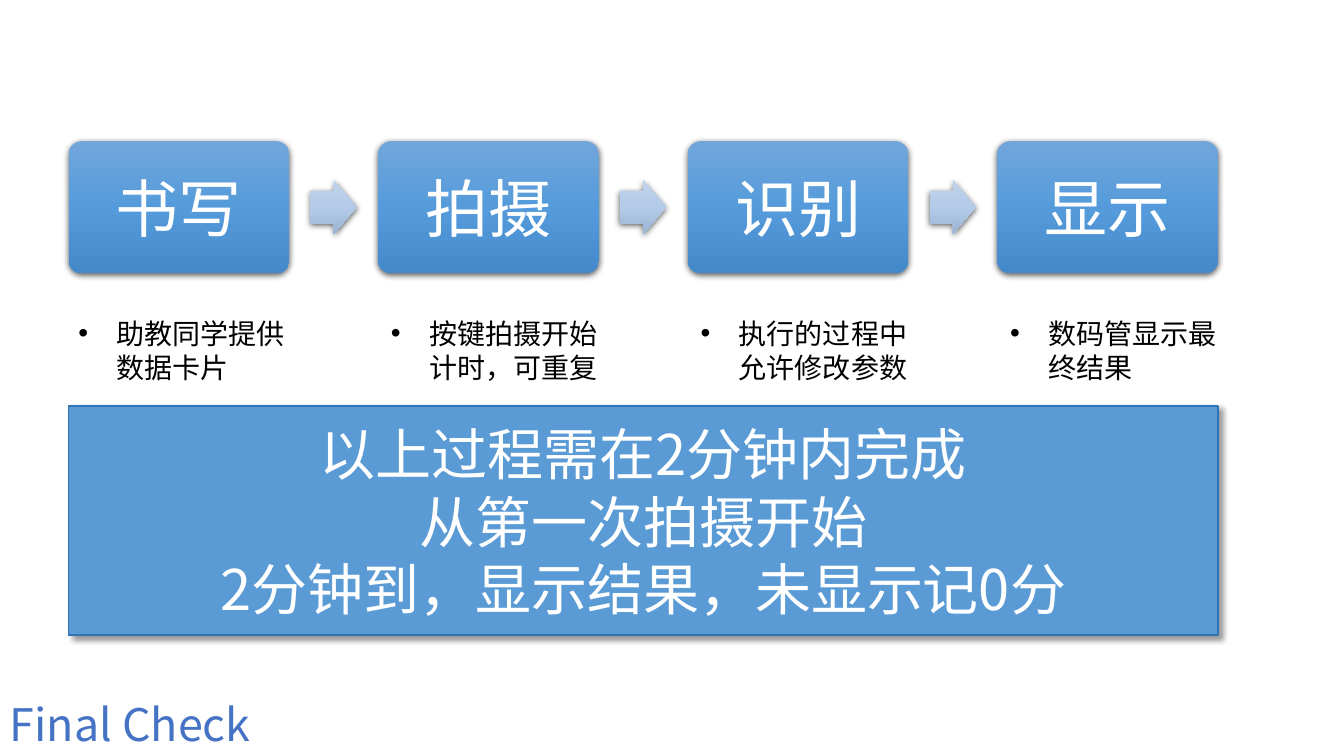
from copy import deepcopy
from lxml.etree import SubElement
from pptx import Presentation
from pptx.dml.color import RGBColor
from pptx.enum.shapes import MSO_SHAPE as Kind
from pptx.enum.text import MSO_ANCHOR as Anchor, PP_ALIGN as Align
from pptx.oxml.ns import qn
from pptx.util import Inches, Pt

FONT = "Noto Sans CJK SC"
LEFT, STEP = 0.68, 3.07
BOX_W, BOX_H, TOP = 2.19, 1.31, 1.4
ARROW_W, ARROW_H = 0.46, 0.54
STEPS = [
    ("书写", "助教同学提供数据卡片"),
    ("拍摄", "按键拍摄开始计时，可重复"),
    ("识别", "执行的过程中允许修改参数"),
    ("显示", "数码管显示最终结果"),
]
BLUES = ["71A6DB", "559BDB", "448ACA"]
PALES = ["C0D2EB", "B3CBE9", "9BB4D3"]


def write(shape, text, size, color, align=Align.LEFT):
    """Fill the shape's frame with text in one style."""
    frame = shape.text_frame
    frame.word_wrap = True
    frame.text = text
    for par in frame.paragraphs:
        par.alignment = align
        for run in par.runs:
            run.font.size = Pt(size)
            run.font.color.rgb = RGBColor.from_string(color)
            run.font.name = FONT
            SubElement(run.font._element, qn("a:ea"), typeface=FONT)


def draw(kind, x, y, w, h, colors, shade):
    """Add a shape; shade is the shadow's alpha, blur, distance and angle."""
    shape = slide.shapes.add_shape(kind, *map(Inches, (x, y, w, h)))
    fill = shape.fill
    if len(colors) == 1:
        fill.solid()
        fill.fore_color.rgb = RGBColor.from_string(colors[0])
    else:
        fill.gradient()
        fill.gradient_angle = 270
        stops = shape._element.spPr.find(".//" + qn("a:gsLst"))
        stops.append(deepcopy(stops[-1]))
        for i, (stop, color) in enumerate(zip(fill.gradient_stops, colors)):
            stop.position = i / 2
            stop.color.rgb = RGBColor.from_string(color)
    shape.line.fill.background()
    shape.shadow.inherit = False
    alpha, blur, dist, angle = shade
    glow = SubElement(
        shape._element.spPr.find(qn("a:effectLst")), qn("a:outerShdw"),
        blurRad=str(Pt(blur)), dist=str(Pt(dist)),
        dir=str(angle * 60000), algn="ctr", rotWithShape="0")
    black = SubElement(glow, qn("a:srgbClr"), val="000000")
    SubElement(black, qn("a:alpha"), val=str(alpha * 1000))
    return shape


deck = Presentation()
deck.slide_width, deck.slide_height = Inches(13.33), Inches(7.5)
slide = deck.slides.add_slide(deck.slide_layouts[6])

title = slide.shapes.add_textbox(0, Inches(6.86), Inches(4.18), Inches(0.64))
write(title, "Final Check", 32, "4472C4")

soft = (63, 4.5, 1.5, 90)
for i, (name, note) in enumerate(STEPS):
    x = LEFT + i * STEP
    box = draw(Kind.ROUNDED_RECTANGLE, x, TOP, BOX_W, BOX_H, BLUES, soft)
    box.adjustments[0] = 0.1
    box.text_frame.vertical_anchor = Anchor.MIDDLE
    write(box, name, 45, "FFFFFF", Align.CENTER)

    if i < len(STEPS) - 1:
        gap = STEP - BOX_W
        arrow = draw(Kind.RIGHT_ARROW, x + BOX_W + (gap - ARROW_W) / 2,
                     TOP + (BOX_H - ARROW_H) / 2, ARROW_W, ARROW_H,
                     PALES, soft)
        arrow.adjustments[0] = 0.6

    shift = 0.03 if i else 0
    item = slide.shapes.add_textbox(
        Inches(x + shift), Inches(3.09), Inches(2.34), Inches(0.77))
    write(item, note, 20, "000000")
    props = item.text_frame.paragraphs[0]._p.get_or_add_pPr()
    props.set("marL", str(Inches(0.38)))
    props.set("indent", str(Inches(-0.38)))
    SubElement(props, qn("a:buFont"), typeface="Arial")
    SubElement(props, qn("a:buChar"), char="•")

rule = draw(Kind.RECTANGLE, LEFT, 4.03, 3 * STEP + BOX_W, 2.27,
            ["5B9BD5"], (40, 4, 3, 45))
rule.line.color.rgb = RGBColor.from_string("2E75B6")
rule.line.width = Pt(1)
rule.text_frame.vertical_anchor = Anchor.MIDDLE
write(rule, "以上过程需在2分钟内完成\n从第一次拍摄开始\n"
      "2分钟到，显示结果，未显示记0分", 40, "FFFFFF", Align.CENTER)

deck.save("out.pptx")
